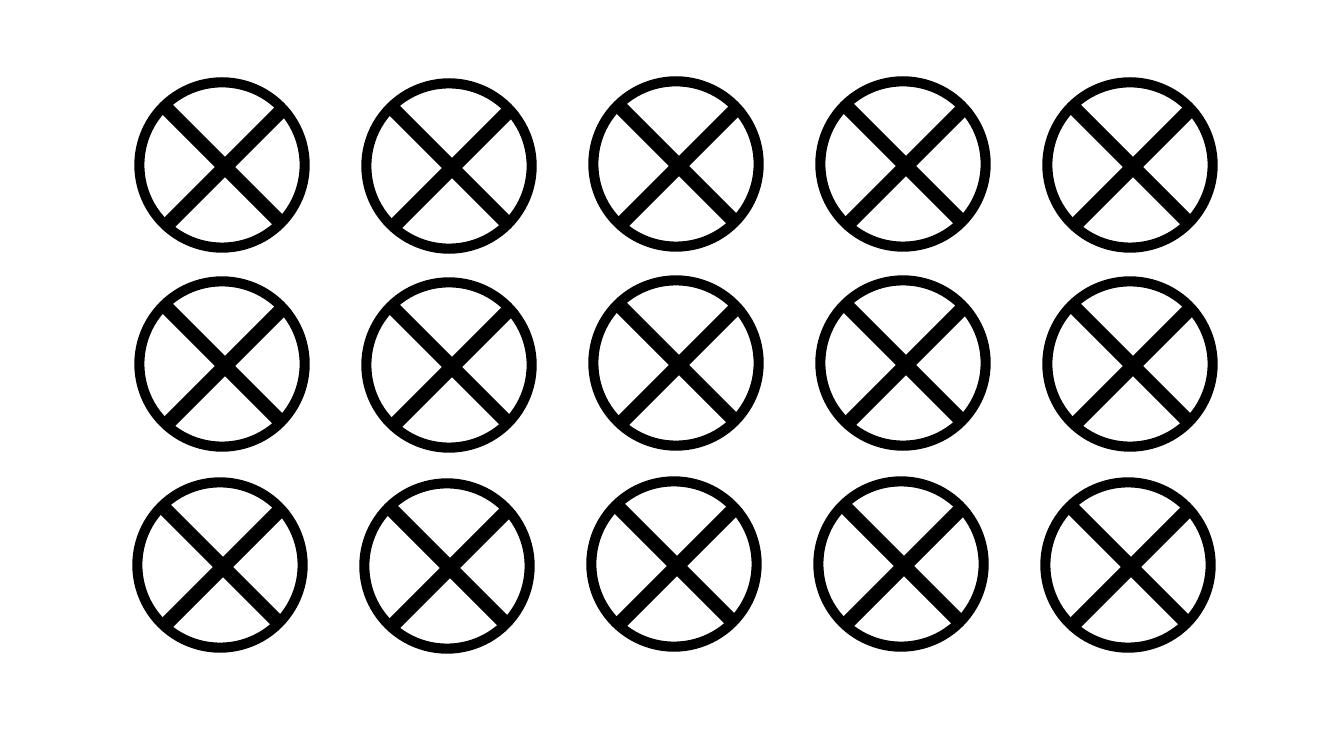
from pptx import Presentation
from pptx.dml.color import RGBColor
from pptx.enum.shapes import MSO_SHAPE
from pptx.util import Emu, Pt

DONUT = MSO_SHAPE.DONUT
RECTANGLE = MSO_SHAPE.RECTANGLE

THEME = {"ink": RGBColor(0, 0, 0), "outline": Pt(1)}

SLIDE_SIZE = (1344, 756)
COLUMN_COUNT = 5
COLUMN_PITCH = 227
ROWS = [(135, 78), (135, 277), (133, 478)]
COLUMN_DROPS = [0, 1, -1, -1, 0]
RING_SIZE = (174, 174)
RING_THICKNESS = 0.05
BAR_SIZE = (167, 13)
BARS = [
    {"left": 5, "top": 81, "rotation": 45},
    {"left": 8, "top": 81, "rotation": 135},
]


def emu(pixels):
    return Emu(round(pixels * 914400 / 100.8))


def add_solid(shapes, preset, left, top, size):
    shape = shapes.add_shape(preset, *map(emu, (left, top, *size)))
    shape.shadow.inherit = False
    shape.fill.solid()
    shape.fill.fore_color.rgb = THEME["ink"]
    shape.line.color.rgb = THEME["ink"]
    shape.line.width = THEME["outline"]
    return shape


def add_crossed_circle(slide, left, top):
    shapes = slide.shapes.add_group_shape().shapes
    ring = add_solid(shapes, DONUT, left, top, RING_SIZE)
    ring.adjustments[0] = RING_THICKNESS
    for offset in BARS:
        bar = add_solid(
            shapes, RECTANGLE, left + offset["left"], top + offset["top"], BAR_SIZE
        )
        bar.rotation = offset["rotation"]


deck = Presentation()
deck.slide_width, deck.slide_height = map(emu, SLIDE_SIZE)
slide = deck.slides.add_slide(deck.slide_layouts[6])

for row_left, row_top in ROWS:
    for column, drop in enumerate(COLUMN_DROPS[:COLUMN_COUNT]):
        add_crossed_circle(slide, row_left + column * COLUMN_PITCH, row_top + drop)

deck.save("out.pptx")
